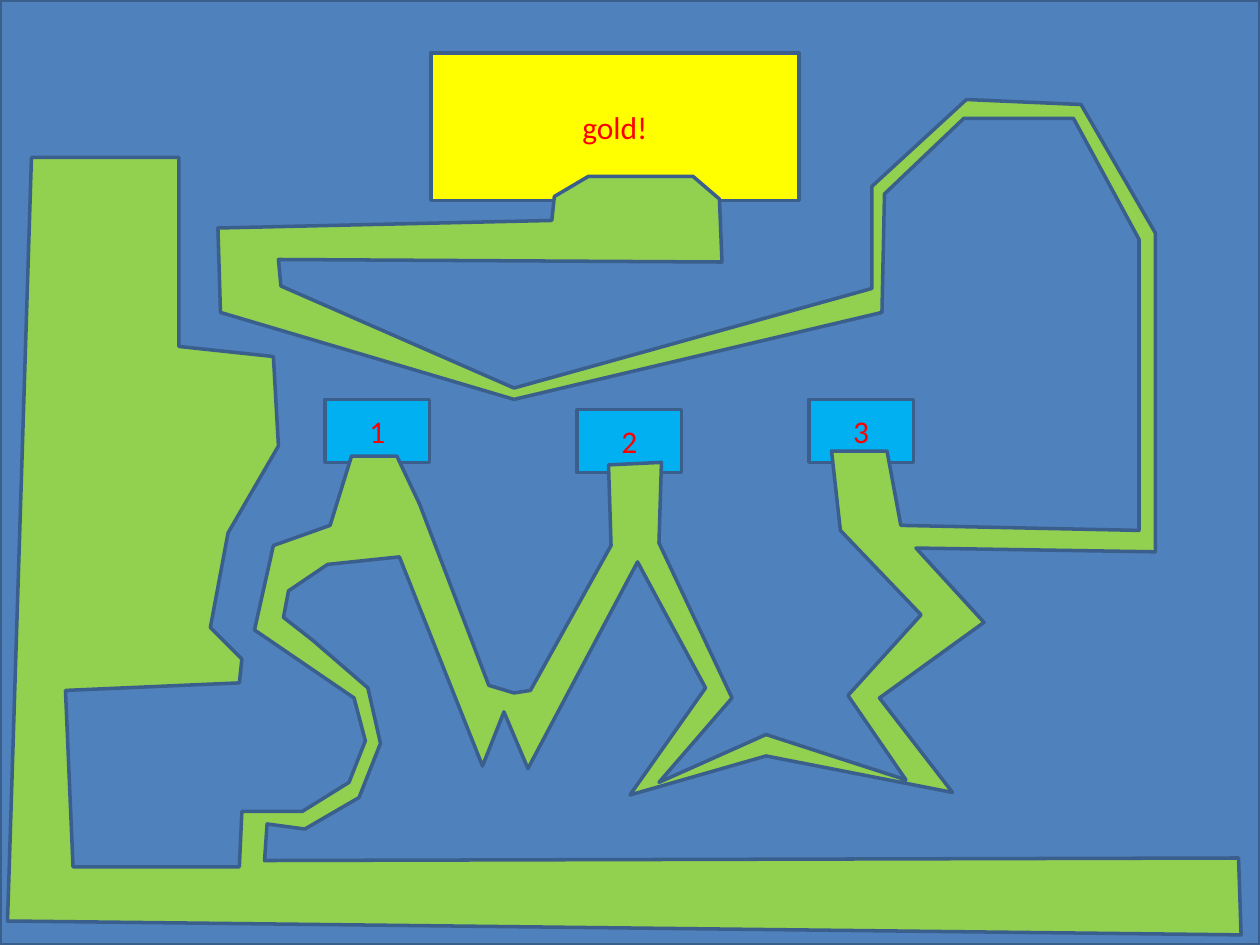
from pptx import Presentation
from pptx.dml.color import RGBColor
from pptx.enum.shapes import MSO_SHAPE
from pptx.enum.text import MSO_ANCHOR, PP_ALIGN
from pptx.util import Inches, Pt

RECTANGLE = MSO_SHAPE.RECTANGLE
MIDDLE = MSO_ANCHOR.MIDDLE
CENTER = PP_ALIGN.CENTER

WALL_BLUE = RGBColor(0x4F, 0x81, 0xBD)
OUTLINE_BLUE = RGBColor(0x3A, 0x5F, 0x8C)
CHECKPOINT_BLUE = RGBColor(0x00, 0xB0, 0xF0)
GOLD_YELLOW = RGBColor(0xFF, 0xFF, 0x00)
PATH_GREEN = RGBColor(0x92, 0xD0, 0x50)
LABEL_RED = RGBColor(0xFF, 0x00, 0x00)

SLIDE_WIDTH, SLIDE_HEIGHT = 10, 7.5
CHECKPOINT_SIZE = (0.83, 0.5)
CHECKPOINTS = {"1": (2.58, 3.17), "2": (4.58, 3.25), "3": (6.42, 3.17)}
GOLD_BOX = (3.42, 0.42, 2.92, 1.17)
PATH_ORIGIN = (0.06, 0.79)

START_AND_FLOOR = [
    (0.25, 1.25), (0.06, 7.31), (9.85, 7.42), (9.83, 6.81), (2.1, 6.83),
]
OUTER_WALL_TO_GOLD = [
    (2.12, 6.54), (2.42, 6.58), (2.85, 6.33), (3.02, 5.9), (2.92, 5.46),
    (2.48, 5.08), (2.25, 4.9), (2.29, 4.69), (2.6, 4.48), (3.17, 4.42),
    (3.83, 6.08), (4, 5.65), (4.19, 6.1), (5.06, 4.46), (5.6, 5.46),
    (5, 6.31), (6.08, 6), (7.56, 6.29), (6.98, 5.54), (7.81, 4.94),
    (7.27, 4.35), (9.17, 4.38), (9.17, 1.85), (8.58, 0.83), (7.67, 0.79),
    (6.92, 1.48), (6.92, 2.29), (4.08, 3.08), (2.23, 2.27), (2.21, 2.06),
]
GOLD_ENTRANCE = [
    (5.73, 2.08), (5.71, 1.58), (5.5, 1.4), (4.67, 1.4), (4.4, 1.56),
    (4.38, 1.75),
]
INNER_WALL_FROM_GOLD = [
    (1.73, 1.81), (1.75, 2.48), (4.08, 3.17), (7, 2.48), (7.02, 1.54),
    (7.65, 0.94), (8.52, 0.94), (9.04, 1.9), (9.04, 4.21), (7.15, 4.17),
    (7.04, 3.58), (6.6, 3.58), (6.67, 4.21), (7.31, 4.88), (6.73, 5.52),
    (7.19, 6.19), (6.08, 5.83), (5.23, 6.21), (5.81, 5.54), (5.23, 4.31),
    (5.25, 3.67), (4.83, 3.69), (4.85, 4.33), (4.21, 5.48), (4.08, 5.5),
    (3.88, 5.44), (3.33, 4), (3.15, 3.62), (2.79, 3.62), (2.62, 4.17),
    (2.17, 4.33), (2.02, 5), (2.81, 5.54), (2.9, 5.88), (2.77, 6.21),
    (2.4, 6.44), (1.92, 6.44), (1.9, 6.88),
]
LEFT_CHAMBER = [
    (0.58, 6.88), (0.52, 5.48), (1.9, 5.42), (1.92, 5.23), (1.67, 4.98),
    (1.81, 4.23), (2.21, 3.54), (2.17, 2.83), (1.42, 2.75), (1.42, 1.25),
]
MAZE_PATH = (START_AND_FLOOR + OUTER_WALL_TO_GOLD + GOLD_ENTRANCE
             + INNER_WALL_FROM_GOLD + LEFT_CHAMBER)


def paint(shape, fill_color):
    """Give a shape its flat fill and the common outline."""
    shape.shadow.inherit = False
    shape.fill.solid()
    shape.fill.fore_color.rgb = fill_color
    shape.line.color.rgb = OUTLINE_BLUE
    shape.line.width = Pt(2)


def add_block(slide, box, fill_color, label=""):
    """Add a rectangle in the given box, with a centred label if any."""
    block = slide.shapes.add_shape(RECTANGLE, *(Inches(v) for v in box))
    paint(block, fill_color)
    if label:
        frame = block.text_frame
        frame.text = label
        frame.vertical_anchor = MIDDLE
        paragraph = frame.paragraphs[0]
        paragraph.alignment = CENTER
        font = paragraph.runs[0].font
        font.name = "Calibri"
        font.size = Pt(18)
        font.color.rgb = LABEL_RED


def add_checkpoints(slide):
    """Add the numbered checkpoints."""
    for number, corner in CHECKPOINTS.items():
        add_block(slide, corner + CHECKPOINT_SIZE, CHECKPOINT_BLUE, number)


def add_maze_path(slide, origin):
    """Add the safe path with its top left corner at the origin."""
    left = min(x for x, _ in MAZE_PATH)
    top = min(y for _, y in MAZE_PATH)
    start, *corners = [
        (Inches(origin[0] + x - left), Inches(origin[1] + y - top))
        for x, y in MAZE_PATH
    ]
    builder = slide.shapes.build_freeform(*start)
    builder.add_line_segments(corners, close=True)
    paint(builder.convert_to_shape(), PATH_GREEN)


def main():
    """Build the maze slide and save it."""
    presentation = Presentation()
    presentation.slide_width = Inches(SLIDE_WIDTH)
    presentation.slide_height = Inches(SLIDE_HEIGHT)
    slide = presentation.slides.add_slide(presentation.slide_layouts[6])
    add_block(slide, (0, 0, SLIDE_WIDTH, SLIDE_HEIGHT), WALL_BLUE)
    add_checkpoints(slide)
    add_block(slide, GOLD_BOX, GOLD_YELLOW, "gold!")
    add_maze_path(slide, PATH_ORIGIN)
    presentation.save("out.pptx")


if __name__ == "__main__":
    main()
